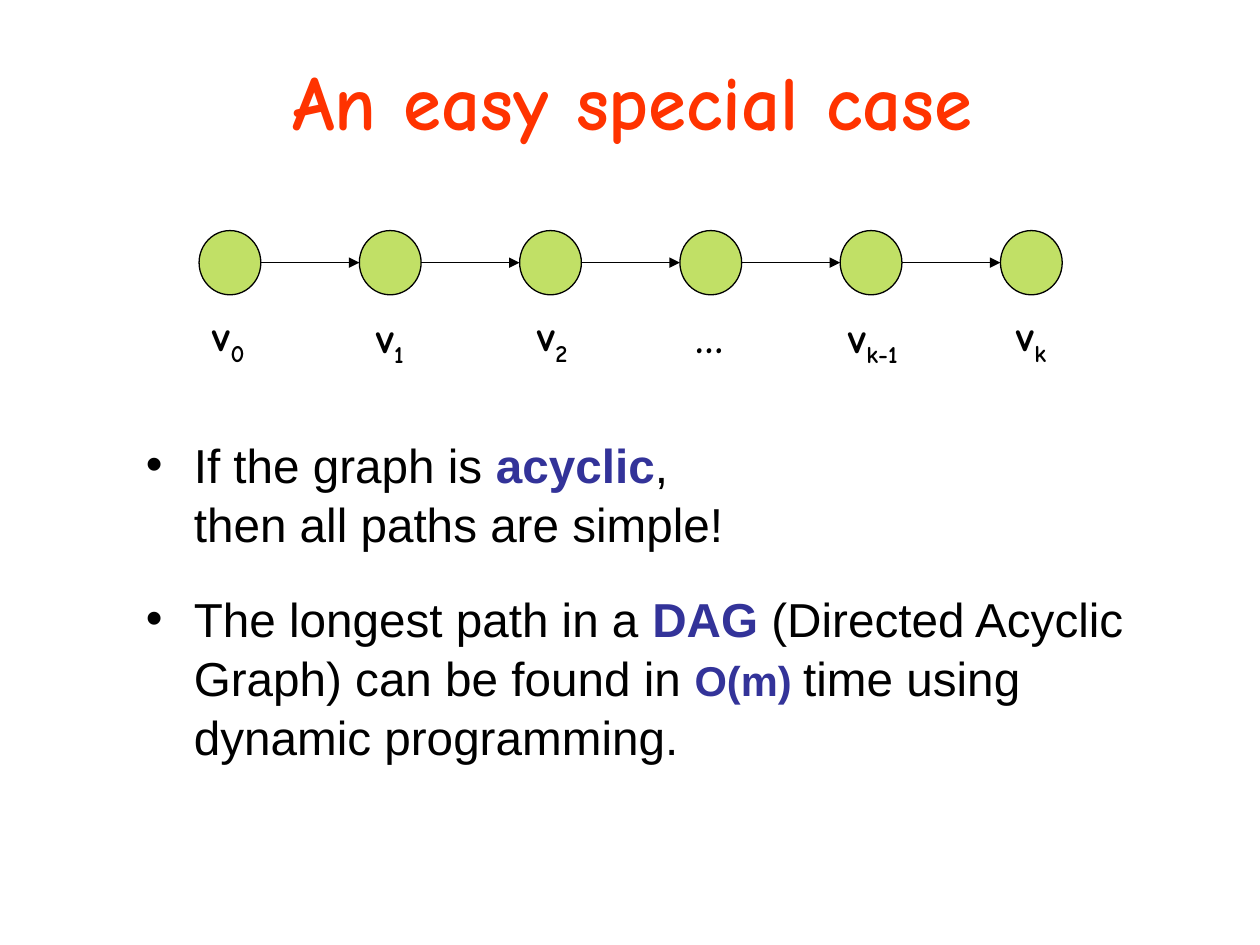
import dataclasses

import pptx
import pptx.dml.color
import pptx.enum.shapes
import pptx.enum.text
import pptx.oxml
import pptx.oxml.ns
import pptx.util

Inches = pptx.util.Inches
Pt = pptx.util.Pt
COLORS = {"title": "FF3300", "text": "000000", "accent": "333399", "node": "99CC00"}
HAND_FONT = "Comic Neue"
BODY_FONT = "Arial"


@dataclasses.dataclass(frozen=True)
class Span:
    text: str
    size: float = 27.2
    font: str = BODY_FONT
    color: str = "text"
    bold: bool = False
    baseline: int = 0
    break_after: bool = False


@dataclasses.dataclass(frozen=True)
class Node:
    label: str
    subscript: str
    label_left: float
    label_top: float
    label_width: float = 0.65
    label_height: float = 0.56


NODES = [
    Node("v", "0", 1.49, 2.41),
    Node("v", "1", 2.77, 2.42),
    Node("v", "2", 4.06, 2.41),
    Node("…", "", 5.25, 2.42, 0.76, 0.5),
    Node("v", "k-1", 6.55, 2.42, 0.76),
    Node("v", "k", 7.86, 2.41),
]
BULLETS = [
    [
        Span("If the graph is "),
        Span("acyclic", color="accent", bold=True),
        Span(", ", break_after=True),
        Span("then all paths are simple!"),
    ],
    [
        Span("The longest path in a "),
        Span("DAG", color="accent", bold=True),
        Span(" (Directed Acyclic Graph) can be found in "),
        Span("O(m) ", size=23.8, color="accent", bold=True),
        Span("time using dynamic programming."),
    ],
]
NODE_LEFT, NODE_TOP, NODE_WIDTH, NODE_HEIGHT = 1.58, 1.83, 0.49, 0.51
NODE_PITCH = (7.94 - NODE_LEFT) / (len(NODES) - 1)


def rgb(name: str) -> pptx.dml.color.RGBColor:
    return pptx.dml.color.RGBColor.from_string(COLORS[name])


def add_xml(parent, tag: str, **attributes: str):
    element = pptx.oxml.parse_xml(f"<a:{tag} {pptx.oxml.ns.nsdecls('a')}/>")
    for name, value in attributes.items():
        element.set(name, value)
    parent.append(element)
    return element


def add_text_box(slide, left: float, top: float, width: float, height: float):
    shape = slide.shapes.add_textbox(Inches(left), Inches(top), Inches(width), Inches(height))
    shape.text_frame.word_wrap = True
    return shape.text_frame


def write_spans(paragraph, spans: list[Span]) -> None:
    for span in spans:
        run = paragraph.add_run()
        run.text = span.text
        run.font.size = Pt(span.size)
        run.font.name = span.font
        run.font.bold = span.bold
        run.font.color.rgb = rgb(span.color)
        if span.baseline:
            run.font._element.set("baseline", str(span.baseline * 1000))
        if span.break_after:
            paragraph.add_line_break()


def add_title(slide) -> None:
    text_frame = add_text_box(slide, 0.02, 0.36, 10, 0.87)
    text_frame.vertical_anchor = pptx.enum.text.MSO_ANCHOR.MIDDLE
    paragraph = text_frame.paragraphs[0]
    paragraph.alignment = pptx.enum.text.PP_ALIGN.CENTER
    write_spans(paragraph, [Span("An easy special case", 44, HAND_FONT, "title", True)])


def add_bullets(slide) -> None:
    text_frame = add_text_box(slide, 1.06, 3.39, 8.21, 2.74)
    for index, spans in enumerate(BULLETS):
        paragraph = text_frame.add_paragraph() if index else text_frame.paragraphs[0]
        paragraph.space_before = Pt(20)
        paragraph.line_spacing = 1.04
        properties = paragraph._p.get_or_add_pPr()
        properties.set("marL", str(Inches(0.38)))
        properties.set("indent", str(Inches(-0.38)))
        add_xml(add_xml(properties, "buClr"), "srgbClr", val=COLORS["text"])
        add_xml(properties, "buFont", typeface=BODY_FONT)
        add_xml(properties, "buChar", char="•")
        write_spans(paragraph, spans)


def add_node(slide, node: Node, left: float) -> None:
    circle = slide.shapes.add_shape(
        pptx.enum.shapes.MSO_SHAPE.OVAL,
        Inches(left), Inches(NODE_TOP), Inches(NODE_WIDTH), Inches(NODE_HEIGHT),
    )
    circle.shadow.inherit = False
    circle.fill.solid()
    circle.fill.fore_color.rgb = rgb("node")
    fill_color = circle._element.spPr.find(".//" + pptx.oxml.ns.qn("a:srgbClr"))
    add_xml(fill_color, "alpha", val="60000")
    circle.line.color.rgb = rgb("text")
    circle.line.width = Pt(0.74)

    text_frame = add_text_box(
        slide, node.label_left, node.label_top, node.label_width, node.label_height
    )
    paragraph = text_frame.paragraphs[0]
    paragraph.alignment = pptx.enum.text.PP_ALIGN.CENTER
    spans = [Span(node.label, 24, HAND_FONT, bold=True)]
    if node.subscript:
        spans.append(Span(node.subscript, 24, HAND_FONT, bold=True, baseline=-25))
    write_spans(paragraph, spans)


def add_arrow(slide, start: float, end: float) -> None:
    middle = Inches(NODE_TOP + NODE_HEIGHT / 2)
    arrow = slide.shapes.add_connector(
        pptx.enum.shapes.MSO_CONNECTOR.STRAIGHT, Inches(start), middle, Inches(end), middle
    )
    arrow.line.color.rgb = rgb("text")
    arrow.line.width = Pt(0.74)
    add_xml(arrow.line._get_or_add_ln(), "tailEnd", type="triangle")
    add_xml(arrow._element.spPr, "effectLst")


def main() -> None:
    presentation = pptx.Presentation()
    presentation.slide_width = Inches(10)
    presentation.slide_height = Inches(7.5)
    slide = presentation.slides.add_slide(presentation.slide_layouts[6])
    add_title(slide)
    add_bullets(slide)
    for index, node in enumerate(NODES):
        left = NODE_LEFT + index * NODE_PITCH
        add_node(slide, node, left)
        if index:
            add_arrow(slide, left - NODE_PITCH + NODE_WIDTH, left)
    presentation.save("out.pptx")


main()
